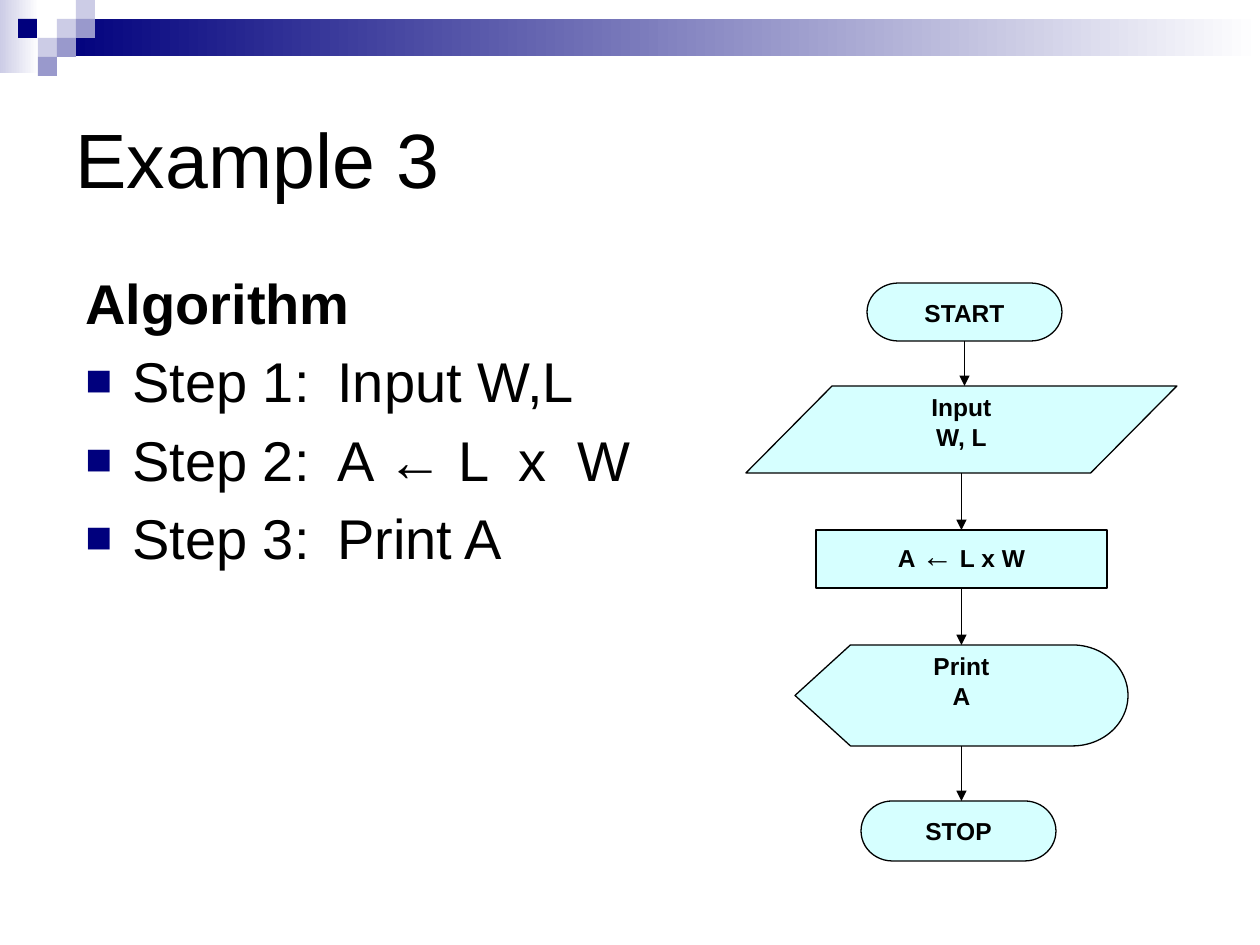
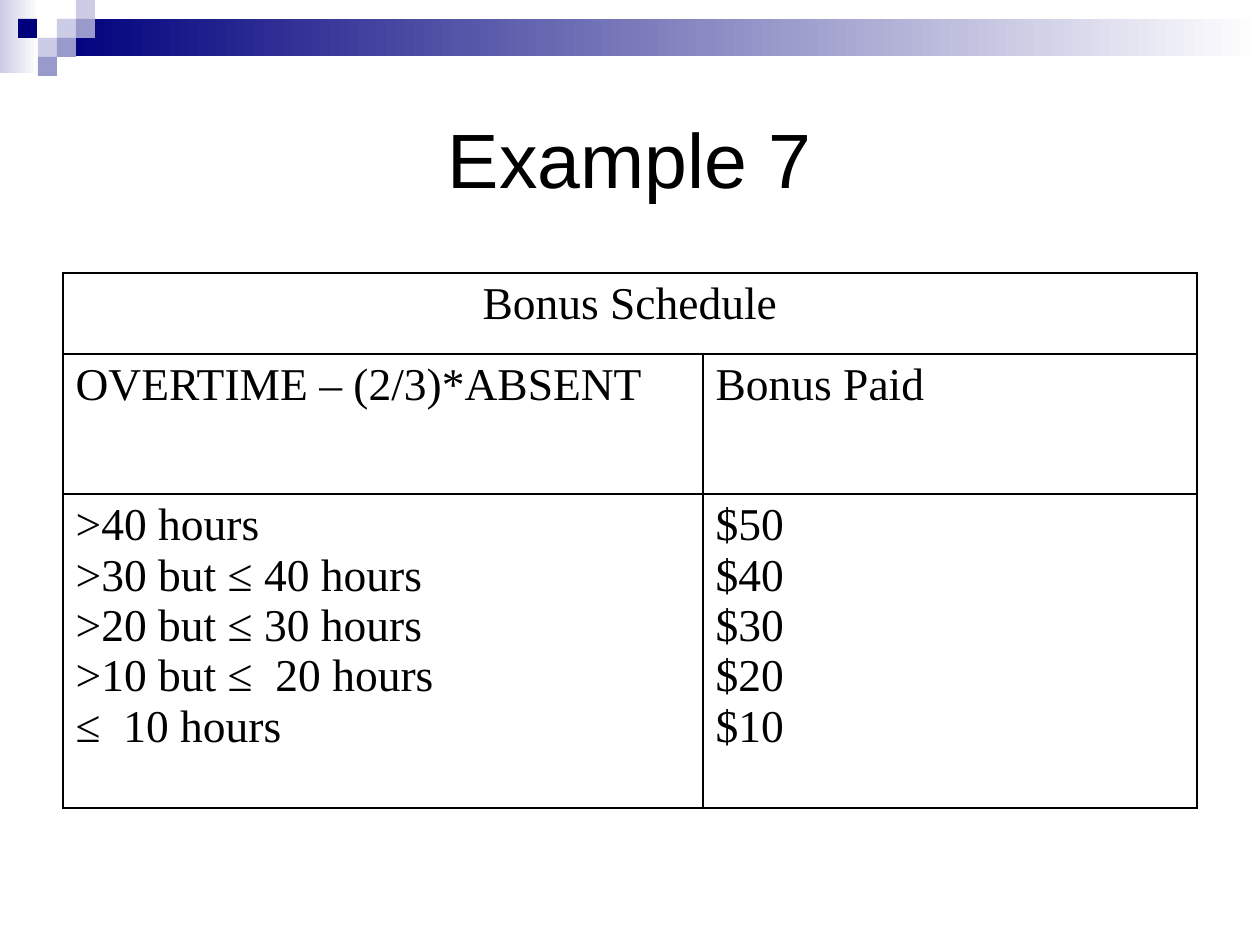
from itertools import pairwise

from lxml import etree
from pptx import Presentation
from pptx.dml.color import RGBColor
from pptx.enum.shapes import MSO_CONNECTOR as CONNECTOR, MSO_SHAPE as SHAPE
from pptx.enum.text import MSO_ANCHOR as ANCHOR, PP_ALIGN as ALIGN
from pptx.oxml.ns import qn
from pptx.util import Emu, Pt

EMU_PER_PX = 914400 / 126
SLIDE_WIDTH, SLIDE_HEIGHT = 1260, 945
TITLE_BOX = (63, 63, 1134, 189)
TITLE_ONLY = 5

BLACK = RGBColor(0x00, 0x00, 0x00)
WHITE = RGBColor(0xFF, 0xFF, 0xFF)
NAVY = RGBColor(0x00, 0x00, 0x7D)
LAVENDER = RGBColor(0xCC, 0xCC, 0xE6)
PERIWINKLE = RGBColor(0x99, 0x99, 0xCC)
PALE_CYAN = RGBColor(0xCC, 0xFF, 0xFF)

SANS, SERIF = "Arial", "Times New Roman"
HANGING_INDENT = 47

STEPS = ["Step 1: \tInput W,L", "Step 2: \tA ← L  x  W", "Step 3: \tPrint A"]
FLOW_NODES = [  # preset, left, top, width, height, text
    (SHAPE.FLOWCHART_TERMINATOR, 121, 0, 195, 58, "START"),
    (SHAPE.FLOWCHART_DATA, 0, 103, 431, 87, "Input\nW, L"),
    (SHAPE.FLOWCHART_PROCESS, 70, 247, 291, 58, "A ← L x W"),
    (SHAPE.FLOWCHART_DISPLAY, 49, 362, 333, 101, "Print\nA"),
    (SHAPE.FLOWCHART_TERMINATOR, 115, 518, 195, 60, "STOP"),
]
BONUS_ROWS = [
    ("Bonus Schedule", ""),
    ("OVERTIME – (2/3)*ABSENT", "Bonus Paid"),
    (">40 hours\n>30 but ≤ 40 hours\n>20 but ≤ 30 hours\n"
     ">10 but ≤  20 hours\n≤  10 hours",
     "$50\n$40\n$30\n$20\n$10"),
]


def px(length):
    return Emu(round(length * EMU_PER_PX))


def px_box(*box):
    return [px(length) for length in box]


def add_child(parent, tag, **attributes):
    child = etree.SubElement(parent, qn(tag))
    for name, value in attributes.items():
        child.set(name, str(value))
    return child


def format_run(run, font, size, bold=False):
    run.font.name = font
    run.font.size = Pt(size)
    run.font.bold = bold
    run.font.color.rgb = BLACK


def format_text(text_frame, font, size, bold=False, align=ALIGN.LEFT):
    for paragraph in text_frame.paragraphs:
        paragraph.alignment = align
        for run in paragraph.runs:
            format_run(run, font, size, bold)


def add_plain_shape(slide, preset, box):
    shape = slide.shapes.add_shape(preset, *px_box(*box))
    shape.shadow.inherit = False
    shape.fill.solid()
    shape.line.fill.background()
    return shape


def add_fading_band(slide, box, color):
    band = add_plain_shape(slide, SHAPE.RECTANGLE, box)
    band.fill.gradient()
    band.fill.gradient_angle = 0
    for stop, stop_color in zip(band.fill.gradient_stops, (color, WHITE)):
        stop.color.rgb = stop_color
    return band


def add_header_band(slide):
    """Draw the header and move it to the master, where all slides share it."""
    parts = [
        add_fading_band(slide, (0, 0, 39, 73), LAVENDER),
        add_fading_band(slide, (57, 19, 1203, 37), NAVY),
    ]
    cell = 19
    for left, row, color in [
        (57, 1, LAVENDER), (76, 0, LAVENDER), (76, 1, PERIWINKLE),
        (38, 2, LAVENDER), (18, 1, NAVY), (57, 2, PERIWINKLE),
        (38, 3, PERIWINKLE),
    ]:
        square = add_plain_shape(slide, SHAPE.RECTANGLE, (left, row * cell, cell, cell))
        square.fill.fore_color.rgb = color
        parts.append(square)
    master_tree = slide.slide_layout.slide_master.shapes.element
    for index, part in enumerate(parts):
        part.element.nvSpPr.cNvPr.set("id", str(100 + index))
        master_tree.insert(2 + index, part.element)


def add_titled_slide(presentation, title_text, align=ALIGN.LEFT):
    slide = presentation.slides.add_slide(presentation.slide_layouts[TITLE_ONLY])
    title = slide.shapes.title
    title.left, title.top, title.width, title.height = px_box(*TITLE_BOX)
    title.text_frame.text = title_text
    title.text_frame.vertical_anchor = ANCHOR.MIDDLE
    format_text(title.text_frame, SANS, 44, align=align)
    return slide


def add_square_bullet(paragraph):
    properties = paragraph._p.get_or_add_pPr()
    add_child(add_child(properties, "a:buClr"), "a:srgbClr", val=NAVY)
    add_child(properties, "a:buSzPct", val=80000)
    add_child(properties, "a:buFont", typeface=SANS)
    add_child(properties, "a:buChar", char="■")


def add_algorithm(slide, box):
    text_frame = slide.shapes.add_textbox(*px_box(*box)).text_frame
    text_frame.word_wrap = True
    text_frame.text = "\n".join(["Algorithm", *STEPS])
    format_text(text_frame, SANS, 32)
    heading, *steps = text_frame.paragraphs
    heading.runs[0].font.bold = True
    for paragraph in text_frame.paragraphs:
        properties = paragraph._p.get_or_add_pPr()
        properties.set("marL", str(px(HANGING_INDENT)))
        properties.set("indent", str(-px(HANGING_INDENT)))
    for paragraph in steps:
        paragraph.space_before = Pt(6.4)
        add_square_bullet(paragraph)


def add_flow_node(slide, preset, box, text):
    node = add_plain_shape(slide, preset, box)
    node.fill.fore_color.rgb = PALE_CYAN
    color = node.element.spPr.find(qn("a:solidFill"))[0]
    add_child(color, "a:alpha", val=80000)
    node.line.color.rgb = BLACK
    node.line.width = Pt(0.75)
    text_frame = node.text_frame
    text_frame.vertical_anchor = ANCHOR.TOP
    text_frame.text = text
    before, arrow, after = text.partition("←")
    if arrow:
        paragraph = text_frame.paragraphs[0]
        paragraph.runs[0].text = before
        for part in (arrow, after):
            paragraph.add_run().text = part
    format_text(text_frame, SANS, 14, True, ALIGN.CENTER)
    if arrow:
        format_run(paragraph.runs[1], SANS, 18)


def add_arrow_down(slide, x, top, bottom):
    arrow = slide.shapes.add_connector(CONNECTOR.STRAIGHT, *px_box(x, top, x, bottom))
    arrow.line.color.rgb = BLACK
    arrow.line.width = Pt(0.75)
    add_child(arrow.line._get_or_add_ln(), "a:tailEnd", type="triangle")
    add_child(arrow.element.spPr, "a:effectLst")


def add_flowchart(slide, left, top):
    for preset, x, y, width, height, text in FLOW_NODES:
        add_flow_node(slide, preset, (left + x, top + y, width, height), text)
    for upper, lower in pairwise(FLOW_NODES):
        _, x, y, width, height, _ = upper
        add_arrow_down(slide, left + x + width / 2, top + y + height, top + lower[2])


def set_borders(cell):
    properties = cell._tc.get_or_add_tcPr()
    for index, side in enumerate(("a:lnL", "a:lnR", "a:lnT", "a:lnB")):
        line = add_child(properties, side, w=Pt(1))
        add_child(add_child(line, "a:solidFill"), "a:srgbClr", val=BLACK)
        properties.insert(index, line)


def add_bonus_table(slide, box, column_widths, row_heights):
    frame = slide.shapes.add_table(len(row_heights), len(column_widths), *px_box(*box))
    table = frame.table
    table.first_row = table.horz_banding = False
    for column, width in zip(table.columns, column_widths):
        column.width = px(width)
    for row, height, texts in zip(table.rows, row_heights, BONUS_ROWS):
        row.height = px(height)
        for cell, text in zip(row.cells, texts):
            cell.text_frame.text = text
            format_text(cell.text_frame, SERIF, 26)
            cell.fill.background()
            set_borders(cell)
    heading = table.cell(0, 0)
    heading.merge(table.cell(0, 1))
    heading.text_frame.paragraphs[0].alignment = ALIGN.CENTER


def main():
    presentation = Presentation()
    presentation.slide_width = px(SLIDE_WIDTH)
    presentation.slide_height = px(SLIDE_HEIGHT)

    area_slide = add_titled_slide(presentation, "Example 3")
    add_header_band(area_slide)
    add_algorithm(area_slide, (73, 262, 1134, 536))
    add_flowchart(area_slide, 746, 283)

    bonus_slide = add_titled_slide(presentation, "Example 7", ALIGN.CENTER)
    add_bonus_table(bonus_slide, (63, 273, 1134, 535), (640, 494), (81, 140, 314))

    presentation.save("out.pptx")


if __name__ == "__main__":
    main()
